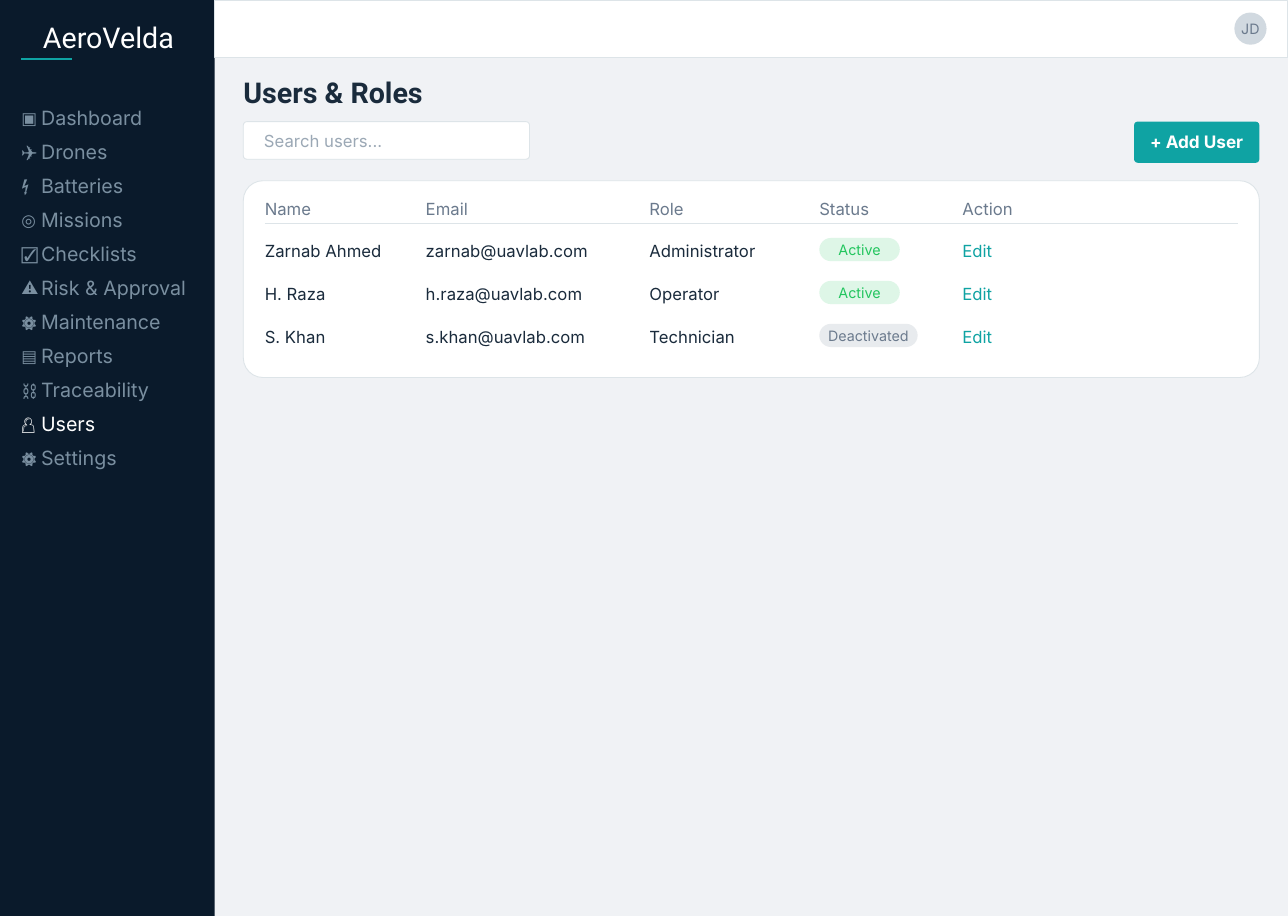
"""Build the users and roles screen of a drone operations console."""
from itertools import pairwise

from lxml import etree
from pptx import Presentation
from pptx import util as u
from pptx.dml.color import RGBColor
from pptx.enum import shapes, text
from pptx.oxml import ns

Pt = u.Pt
SHAPE = shapes.MSO_SHAPE
ALIGN = text.PP_ALIGN
ANCHOR = text.MSO_ANCHOR
COLORS = {
    "canvas": "F0F2F5", "navy": "0A1A2B", "white": "FFFFFF", "teal": "0FA3A3",
    "ink": "1A2B3C", "slate": "6B7A8D", "menu": "7A8FA0", "hint": "9BA8B5",
    "border": "DDE4E8", "avatar": "D1D9E0", "green": "22C55E",
}
MENU = [
    ("▣", "Dashboard"), ("✈", "Drones"), ("⚡", "Batteries"), ("◎", "Missions"),
    ("☑", "Checklists"), ("⚠", "Risk & Approval"), ("⚙", "Maintenance"),
    ("▤", "Reports"), ("⛓", "Traceability"), ("👤", "Users"), ("⚙", "Settings"),
]
CURRENT = "Users"
MENU_PITCH = 28.5
HEADINGS = ["Name", "Email", "Role", "Status", "Action"]
USERS = [
    ("Zarnab Ahmed", "zarnab@uavlab.com", "Administrator", "Active"),
    ("H. Raza", "h.raza@uavlab.com", "Operator", "Active"),
    ("S. Khan", "s.khan@uavlab.com", "Technician", "Deactivated"),
]
BADGES = {"Active": (67.5, "green"), "Deactivated": (82.5, "slate")}
COLUMN_EDGES = [222, 357, 544.5, 687, 807, 1038]
TABLE_TOP, HEADER_HEIGHT, ROW_HEIGHT = 158.2, 29, 36


class Screen:
    """Hold the style and the current slide, and draw each kind of element."""

    def __init__(self, page, font="Inter", leading=1.4):
        self.page, self.font, self.leading = page, font, leading
        page.background.fill.solid()
        page.background.fill.fore_color.rgb = self.color("canvas")

    def color(self, name):
        return RGBColor.from_string(COLORS[name])

    def frame(self, box, anchor=ANCHOR.TOP, margins=(0, 0, 0, 0)):
        frame = box.text_frame
        frame.auto_size = text.MSO_AUTO_SIZE.NONE
        frame.word_wrap = True
        frame.vertical_anchor = anchor
        (frame.margin_left, frame.margin_top,
         frame.margin_right, frame.margin_bottom) = map(Pt, margins)
        return frame

    def style(self, para, size, color, bold=False, align=ALIGN.LEFT, font=None):
        para.alignment = align
        para.line_spacing = Pt(round(size * self.leading, 1))
        for span in para.runs:
            span.font.size = Pt(size)
            span.font.name = font or self.font
            span.font.bold = bold
            span.font.color.rgb = self.color(color)

    def place(self, box, left, top, width, height):
        box.left, box.top, box.width, box.height = map(Pt, (left, top, width, height))

    def title(self, words, left, top, width, height):
        box = self.page.shapes.title
        self.place(box, left, top, width, height)
        frame = self.frame(box)
        frame.text = words
        self.style(frame.paragraphs[0], 24, "ink", bold=True, font="Roboto")

    def product_name(self, words, left, top, width, height):
        box = self.page.shapes.add_textbox(*map(Pt, (left, top, width, height)))
        frame = self.frame(box)
        frame.text = words
        self.style(frame.paragraphs[0], 24, "white", font="Roboto")

    def column(self, box, words, size):
        frame = self.frame(box)
        frame.text = "\n".join(words)
        for index, para in enumerate(frame.paragraphs):
            properties = para._p.get_or_add_pPr()
            properties.set("marL", "0")
            properties.set("indent", "0")
            etree.SubElement(properties, ns.qn("a:buNone"))
            self.style(para, size, "white" if MENU[index][1] == CURRENT else "menu")
            gap = MENU_PITCH - para.line_spacing.pt if index else 0
            para.space_before = Pt(round(gap, 1))

    def menu(self, left, top):
        icons, labels = zip(*MENU)
        height = MENU_PITCH * len(MENU)
        box = self.page.placeholders[1]
        box._element.getparent().append(box._element)
        self.place(box, left + 16.5, top, 140, height)
        self.column(box, labels, 16.5)
        box = self.page.shapes.add_textbox(*map(Pt, (left, top + 2.2, 15, height)))
        self.column(box, icons, 14)

    def panel(self, kind, left, top, width, height, fill, outline=None, radius=0, alpha=None):
        box = self.page.shapes.add_shape(kind, *map(Pt, (left, top, width, height)))
        box.shadow.inherit = False
        if radius:
            box.adjustments[0] = radius / min(width, height)
        box.fill.solid()
        box.fill.fore_color.rgb = self.color(fill)
        if alpha:
            tint = box._element.spPr.find(".//" + ns.qn("a:srgbClr"))
            etree.SubElement(tint, ns.qn("a:alpha"), val=str(alpha * 1000))
        if outline:
            box.line.color.rgb = self.color(outline)
            box.line.width = Pt(0.75)
        else:
            box.line.fill.background()
        return box

    def label(self, box, words, size, color, bold=False, align=ALIGN.CENTER, left=0, lift=2):
        frame = self.frame(box, ANCHOR.MIDDLE, (left, 0, 0, lift))
        frame.text = words
        self.style(frame.paragraphs[0], size, color, bold, align)

    def rule(self, left, top, width, color, weight):
        line = self.page.shapes.add_connector(
            shapes.MSO_CONNECTOR.STRAIGHT, *map(Pt, (left, top, left + width, top)))
        line.line.color.rgb = self.color(color)
        line.line.width = Pt(weight)
        etree.SubElement(line._element.spPr, ns.qn("a:effectLst"))

    def underline(self, cell):
        border = etree.Element(ns.qn("a:lnB"), w=str(Pt(0.75)))
        fill = etree.SubElement(border, ns.qn("a:solidFill"))
        etree.SubElement(fill, ns.qn("a:srgbClr"), val=COLORS["border"])
        cell._tc.get_or_add_tcPr().insert(0, border)

    def cell(self, cell, words, color, top):
        cell.margin_left = cell.margin_right = cell.margin_bottom = 0
        cell.margin_top = Pt(top)
        cell.vertical_anchor = ANCHOR.TOP
        cell.fill.background()
        cell.text = words
        self.style(cell.text_frame.paragraphs[0], 14, color)

    def table(self):
        width = COLUMN_EDGES[-1] - COLUMN_EDGES[0]
        height = HEADER_HEIGHT + ROW_HEIGHT * len(USERS)
        table = self.page.shapes.add_table(
            len(USERS) + 1, len(HEADINGS),
            *map(Pt, (COLUMN_EDGES[0], TABLE_TOP, width, height))).table
        table.first_row = table.horz_banding = False
        style = table._tbl.tblPr.find(ns.qn("a:tableStyleId"))
        style.text = "{2D5ABB26-0587-4C30-8999-92F81FD0307C}"
        for column, (start, end) in zip(table.columns, pairwise(COLUMN_EDGES)):
            column.width = Pt(end - start)
        for row in table.rows:
            row.height = Pt(ROW_HEIGHT)
        table.rows[0].height = Pt(HEADER_HEIGHT)
        for index, words in enumerate(HEADINGS):
            self.cell(table.cell(0, index), words, "slate", 6)
            self.underline(table.cell(0, index))
        for number, (*details, status) in enumerate(USERS, 1):
            for index, words in enumerate([*details, "", "Edit"]):
                color = "teal" if words == "Edit" else "ink"
                self.cell(table.cell(number, index), words, color, 12.6)
            self.badge(status, TABLE_TOP + HEADER_HEIGHT + ROW_HEIGHT * (number - 1) + 12.3)

    def badge(self, status, top):
        width, color = BADGES[status]
        box = self.panel(SHAPE.ROUNDED_RECTANGLE, COLUMN_EDGES[3], top, width, 19.5,
                         color, radius=9.75, alpha=15)
        self.label(box, status, 12, color)


def main():
    deck = Presentation()
    deck.slide_width, deck.slide_height = Pt(1080), Pt(768)
    screen = Screen(deck.slides.add_slide(deck.slide_layouts[1]))

    screen.panel(SHAPE.RECTANGLE, 0, 0, 180, 768, "navy")
    screen.product_name("AeroVelda", 36, 11.5, 140, 36.5)
    screen.rule(18, 49.5, 42, "teal", 1.5)
    screen.menu(18, 85.5)

    screen.panel(SHAPE.RECTANGLE, 180, 0, 900, 48, "white", "border")
    avatar = screen.panel(SHAPE.OVAL, 1035, 10.5, 27, 27, "avatar")
    screen.label(avatar, "JD", 12, "slate", lift=2.6)

    screen.title("Users & Roles", 204, 58, 225, 36.5)
    search = screen.panel(SHAPE.ROUNDED_RECTANGLE, 204, 102, 240, 31.5, "white", "border", 3)
    screen.label(search, "Search users...", 14, "hint", align=ALIGN.LEFT, left=16.5)
    button = screen.panel(SHAPE.ROUNDED_RECTANGLE, 951, 102, 105, 34.5, "teal", radius=3)
    screen.label(button, "+ Add User", 14.4, "white", bold=True, lift=4)

    screen.panel(SHAPE.ROUNDED_RECTANGLE, 204, 151.5, 852, 165, "white", "border", 16.5)
    screen.table()
    deck.save("out.pptx")


if __name__ == "__main__":
    main()
